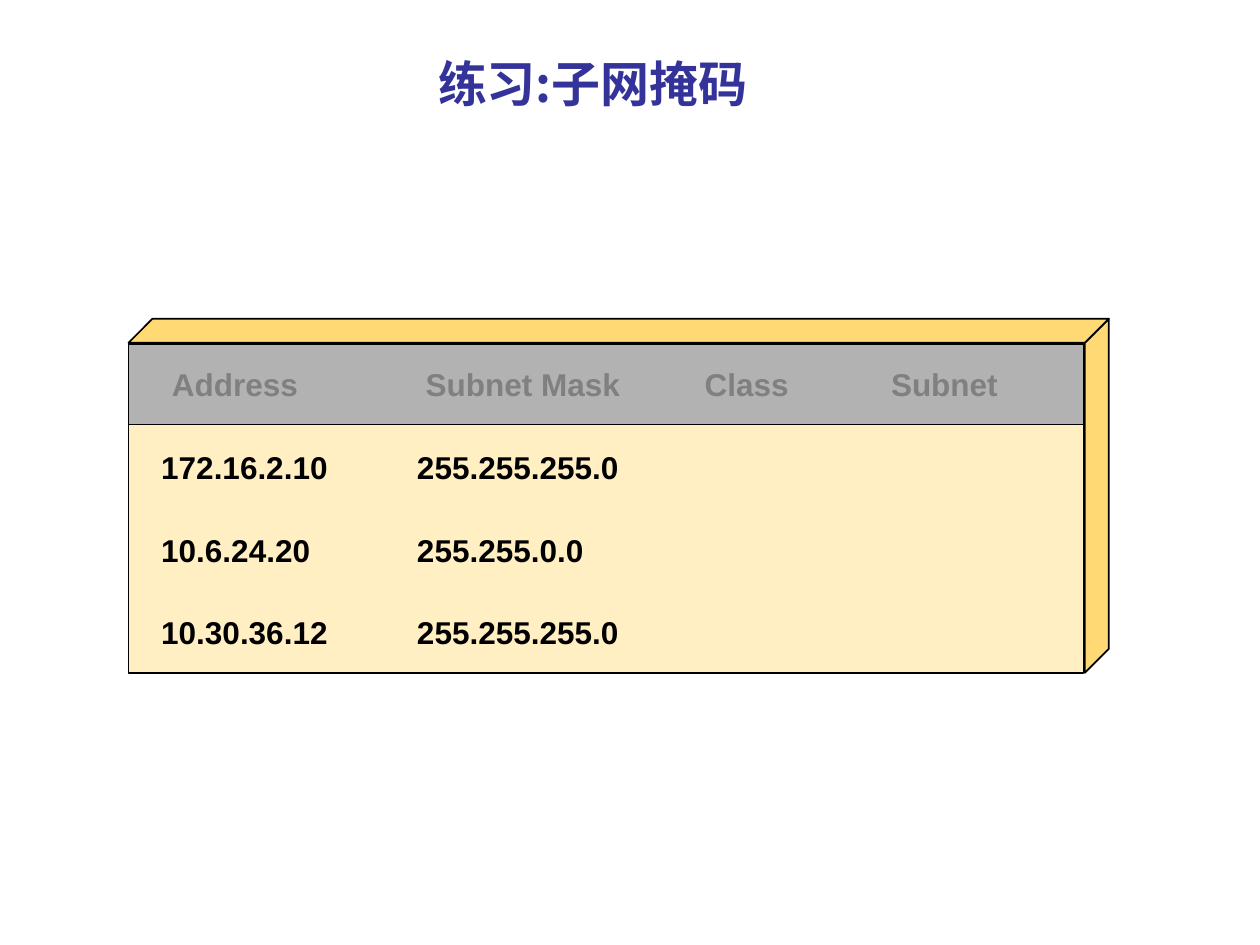
from lxml import etree
from pptx import Presentation
from pptx.dml.color import RGBColor
from pptx.enum.shapes import MSO_SHAPE as Shape
from pptx.enum.text import MSO_ANCHOR as Anchor, MSO_AUTO_SIZE as AutoSize, PP_ALIGN as Align
from pptx.oxml import parse_xml
from pptx.oxml.ns import nsdecls, qn
from pptx.util import Inches, Pt

HEADERS = [("Address", 0.05, 1.59), ("Subnet Mask", 2.23, 1.8),
           ("Class", 4.1, 1.61), ("Subnet", 5.7, 1.55)]
ADDRESSES = ["172.16.2.10", "10.6.24.20", "10.30.36.12"]
MASKS = ["255.255.255.0", "255.255.0.0", "255.255.255.0"]
DEPTH = 0.19
HEADER_HEIGHT = 0.64
ROW_STEP = 0.655


def color(value):
    return RGBColor.from_string(value)


def paint(shape, fill):
    shape.shadow.inherit = False
    shape.fill.solid()
    shape.fill.fore_color.rgb = color(fill)
    shape.line.color.rgb = color("000000")
    shape.line.width = Pt(1)


def add_text(slide, text, left, top, width, height, *, size=18, font="Arial",
             fill="000000", align=Align.LEFT, anchor=Anchor.TOP,
             inset=(0.11, 0.06), spacing=0.95, auto_size=AutoSize.NONE):
    box = slide.shapes.add_textbox(Inches(left), Inches(top), Inches(width), Inches(height))
    frame = box.text_frame
    frame.word_wrap = True
    frame.auto_size = auto_size
    frame.vertical_anchor = anchor
    frame.margin_left = frame.margin_right = Inches(inset[0])
    frame.margin_top = frame.margin_bottom = Inches(inset[1])
    paragraph = frame.paragraphs[0]
    paragraph.alignment = align
    paragraph.line_spacing = spacing
    run = paragraph.add_run()
    run.text = text
    run.font.size = Pt(size)
    run.font.bold = True
    run.font.name = font
    run.font.color.rgb = color(fill)
    properties = run.font._element
    east_asian = etree.Element(qn("a:ea"), typeface=font)
    properties.find(qn("a:latin")).addnext(east_asian)
    return run


def add_text_shadow(run):
    effects = parse_xml(
        f'<a:effectLst {nsdecls("a")}><a:outerShdw dist="17961" dir="2700000">'
        '<a:srgbClr val="C0C0C0"/></a:outerShdw></a:effectLst>')
    run.font._element.find(qn("a:solidFill")).addnext(effects)


def add_title(slide, left, top, width, height):
    run = add_text(slide, "练习:子网掩码", left, top, width, height, size=28,
                   font="Noto Sans CJK SC", fill="333399", align=Align.CENTER,
                   anchor=Anchor.MIDDLE, inset=(0.09, 0.04), spacing=1.0)
    add_text_shadow(run)


def add_panel(slide, left, top, width, height, fill):
    panel = slide.shapes.add_shape(
        Shape.RECTANGLE, Inches(left), Inches(top), Inches(width), Inches(height))
    paint(panel, fill)


def add_face(slide, points):
    start, *others = [(Inches(x), Inches(y)) for x, y in points]
    builder = slide.shapes.build_freeform(*start)
    builder.add_line_segments(others, close=True)
    paint(builder.convert_to_shape(), "FFDA74")


def add_slab(slide, left, top, width, height):
    """Draw the front panels and the slanted top and right faces."""
    front_top = top + DEPTH
    front_right = left + width - DEPTH
    right, bottom = left + width, top + height
    add_panel(slide, left, front_top + 0.1, width - DEPTH - 0.01, height - DEPTH - 0.1, "FFEFC2")
    add_panel(slide, left, front_top + 0.01, width - DEPTH - 0.01, HEADER_HEIGHT, "B2B2B2")
    add_face(slide, [(right, top), (front_right, front_top),
                     (front_right, bottom), (right, bottom - DEPTH)])
    add_face(slide, [(left, front_top), (left + DEPTH, top),
                     (right, top), (front_right, front_top)])


def add_subnet_exercise(slide, left, top, width, height):
    add_slab(slide, left, top, width, height)
    for text, offset, label_width in HEADERS:
        add_text(slide, text, left + offset, top + 0.33, label_width, 0.4,
                 fill="808080", align=Align.CENTER, auto_size=AutoSize.SHAPE_TO_FIT_TEXT)
    for values, offset, value_width in [(ADDRESSES, 0.15, 2.1), (MASKS, 2.18, 2.03)]:
        for row, text in enumerate(values):
            add_text(slide, text, left + offset, top + 0.99 + row * ROW_STEP,
                     value_width, 0.4, auto_size=AutoSize.SHAPE_TO_FIT_TEXT)


def main():
    presentation = Presentation()
    presentation.slide_width = Inches(10)
    presentation.slide_height = Inches(7.5)
    slide = presentation.slides.add_slide(presentation.slide_layouts[6])
    add_title(slide, 0.83, 0.28, 7.75, 0.75)
    add_subnet_exercise(slide, 1.02, 2.53, 7.78, 2.81)
    presentation.save("out.pptx")


if __name__ == "__main__":
    main()
